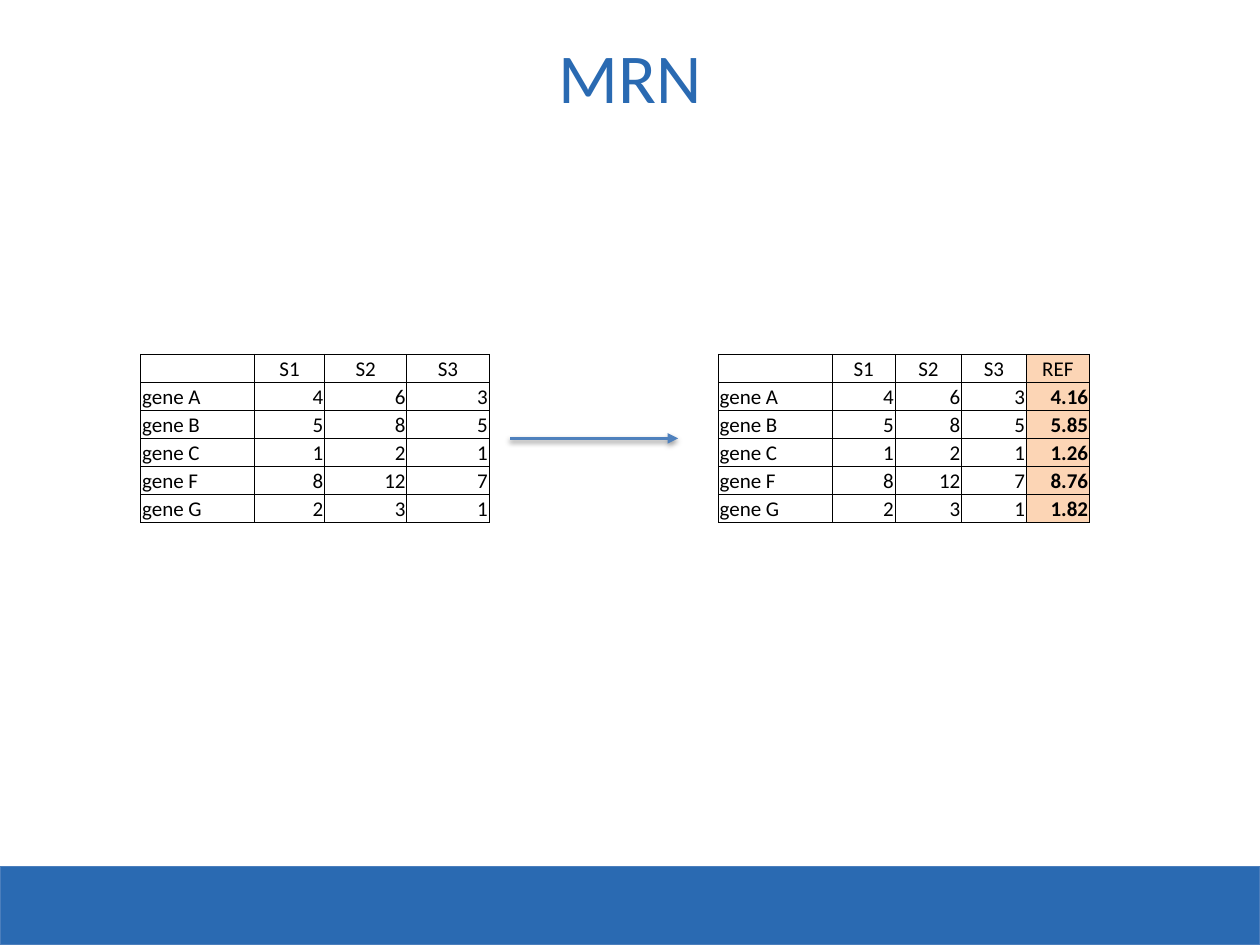
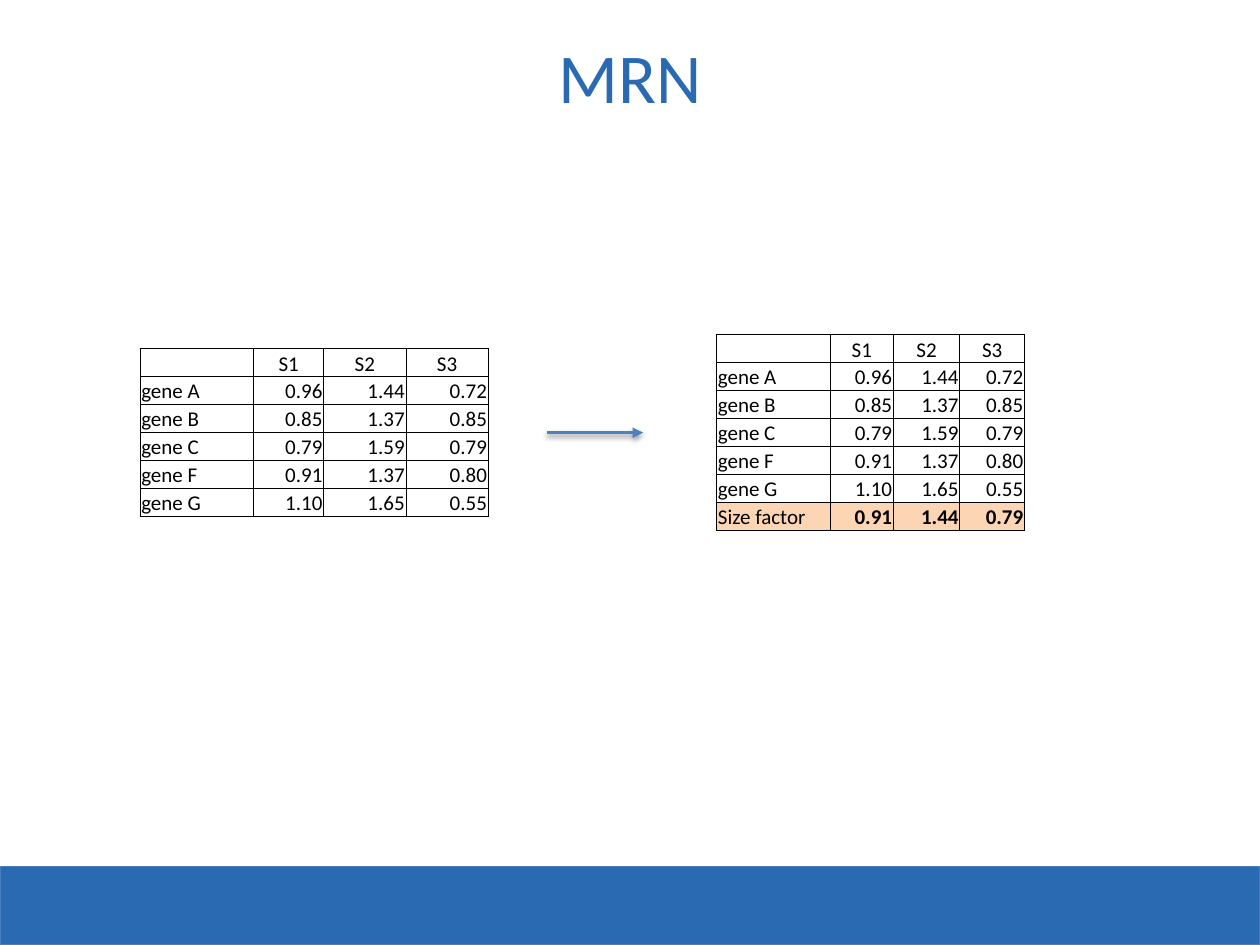
"""Build two slides on MRN: gene tables with reference values and size factors."""
from lxml.etree import SubElement
from pptx import Presentation
from pptx.dml.color import RGBColor
from pptx.enum.shapes import MSO_CONNECTOR, MSO_SHAPE
from pptx.enum.text import MSO_ANCHOR, PP_ALIGN
from pptx.oxml.ns import qn
from pptx.util import Pt

BLUE, EDGE, ARROW, PEACH, BLACK = "2A6AB2", "4B7EBC", "4F81BD", "FCD5B5", "000000"
FONT = "Calibri"
ROW = 16
WIDE = [65, 40, 47, 47]
SLIM = [65, 36, 38, 37, 36]


def paint(color, code):
    color.rgb = RGBColor.from_string(code)


def draw_table(slide, left, mid, widths, rows):
    high = ROW * len(rows)
    table = slide.shapes.add_table(len(rows), len(rows[0]), Pt(left), Pt(mid - high / 2),
                                   Pt(sum(widths)), Pt(high)).table
    table.first_row = table.horz_banding = False
    for col, width in zip(table.columns, widths):
        col.width = Pt(width)
    for r, row in enumerate(rows):
        table.rows[r].height = Pt(ROW)
        for c, text in enumerate(row):
            cell = table.cell(r, c)
            cell.margin_left = cell.margin_right = cell.margin_top = Pt(0.75)
            cell.margin_bottom = 0
            cell.vertical_anchor = MSO_ANCHOR.BOTTOM
            props = cell._tc.get_or_add_tcPr()
            for side in ("a:lnL", "a:lnR", "a:lnT", "a:lnB"):
                line = SubElement(props, qn(side), w=str(Pt(0.5)))
                fill = SubElement(line, qn("a:solidFill"))
                SubElement(fill, qn("a:srgbClr"), val=BLACK)
            marked = rows[0][c] == "REF" or row[0] == "Size factor"
            if marked:
                cell.fill.solid()
                paint(cell.fill.fore_color, PEACH)
            else:
                cell.fill.background()
            cell.text_frame.text = text
            para = cell.text_frame.paragraphs[0]
            if r == 0:
                para.alignment = PP_ALIGN.CENTER
            else:
                para.alignment = PP_ALIGN.RIGHT if c else PP_ALIGN.LEFT
            for run in para.runs:
                run.font.name = FONT
                run.font.size = Pt(12)
                run.font.bold = bool(marked and r and c)
                paint(run.font.color, BLACK)
            SubElement(para._p, qn("a:endParaRPr"), sz="1200")


head = ["", "S1", "S2", "S3"]
counts = [
    head,
    ["gene A", "4", "6", "3"],
    ["gene B", "5", "8", "5"],
    ["gene C", "1", "2", "1"],
    ["gene F", "8", "12", "7"],
    ["gene G", "2", "3", "1"],
]
refs = ["REF", "4.16", "5.85", "1.26", "8.76", "1.82"]
ratios = [
    head,
    ["gene A", "0.96", "1.44", "0.72"],
    ["gene B", "0.85", "1.37", "0.85"],
    ["gene C", "0.79", "1.59", "0.79"],
    ["gene F", "0.91", "1.37", "0.80"],
    ["gene G", "1.10", "1.65", "0.55"],
]
with_refs = [row + [ref] for row, ref in zip(counts, refs)]
with_sizes = ratios + [["Size factor", "0.91", "1.44", "0.79"]]

steps = [
    (250.5, 80.5, counts, 291.5, 387.5, 410.5, with_refs),
    (247.25, 80, ratios, 312.5, 367.5, 409.5, with_sizes),
]

deck = Presentation()
deck.slide_width, deck.slide_height = Pt(720), Pt(540)

for mid, left, before, start, end, right, after in steps:
    slide = deck.slides.add_slide(deck.slide_layouts[5])

    band = slide.shapes.add_shape(MSO_SHAPE.RECTANGLE, 0, Pt(495), Pt(720), Pt(45))
    band.shadow.inherit = False
    band.fill.solid()
    paint(band.fill.fore_color, BLUE)
    paint(band.line.color, EDGE)
    band.line.width = Pt(0.75)

    title = slide.shapes.title
    title.left, title.top, title.width, title.height = Pt(90.5), Pt(11), Pt(539), Pt(64)
    title.text_frame.text = "MRN"
    para = title.text_frame.paragraphs[0]
    para.alignment = PP_ALIGN.CENTER
    font = para.runs[0].font
    font.name, font.size = FONT, Pt(40)
    paint(font.color, BLUE)

    draw_table(slide, left, mid, WIDE, before)

    arrow = slide.shapes.add_connector(MSO_CONNECTOR.STRAIGHT, Pt(start), Pt(mid), Pt(end), Pt(mid))
    paint(arrow.line.color, ARROW)
    arrow.line.width = Pt(2)
    SubElement(arrow.line._get_or_add_ln(), qn("a:tailEnd"), type="triangle")
    effects = SubElement(arrow._element.spPr, qn("a:effectLst"))
    shadow = SubElement(effects, qn("a:outerShdw"), blurRad=str(Pt(3.1)), dist=str(Pt(1.6)),
                        dir="5400000", rotWithShape="0")
    shade = SubElement(shadow, qn("a:srgbClr"), val=BLACK)
    SubElement(shade, qn("a:alpha"), val="38000")

    draw_table(slide, right, mid, SLIM[:len(after[0])], after)

deck.save("out.pptx")
